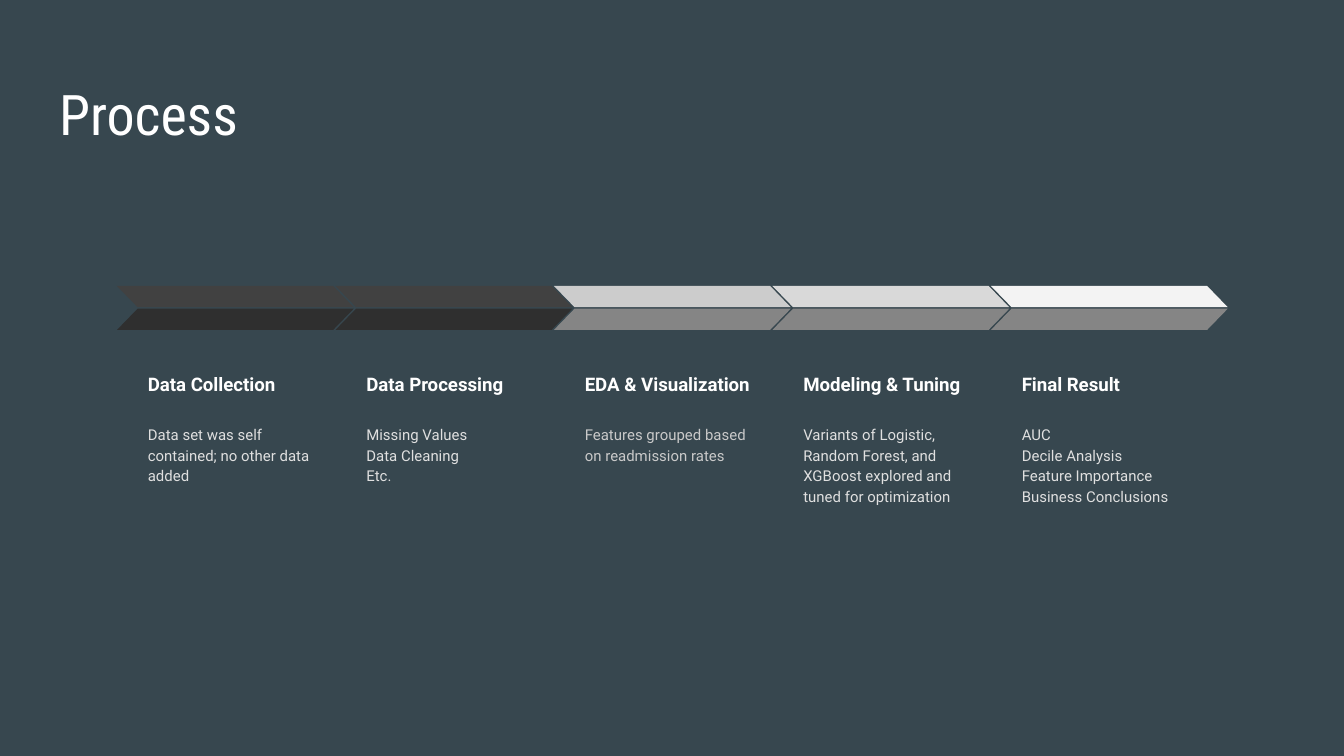
from pptx import Presentation
from pptx.dml.color import RGBColor
from pptx.enum.shapes import MSO_SHAPE
from pptx.enum.text import MSO_ANCHOR, MSO_AUTO_SIZE, PP_ALIGN
from pptx.util import Pt

SLATE = RGBColor(0x37, 0x47, 0x4F)
WHITE = RGBColor(0xFF, 0xFF, 0xFF)
PALE = RGBColor(0xE0, 0xE0, 0xE0)
DIM = RGBColor(0xCA, 0xCA, 0xCA)
COAL = RGBColor(0x41, 0x41, 0x41)
SOOT = RGBColor(0x2F, 0x2F, 0x2F)
GREY = RGBColor(0x85, 0x85, 0x85)
SILVER = RGBColor(0xCC, 0xCC, 0xCC)
CLOUD = RGBColor(0xD9, 0xD9, 0xD9)
SNOW = RGBColor(0xF3, 0xF3, 0xF3)

# heading, detail, detail colour, upper fill, lower fill
STEPS = [
    ("Data Collection", "Data set was self contained; no other data added",
     PALE, COAL, SOOT),
    ("Data Processing", "Missing Values\nData Cleaning\nEtc.",
     PALE, COAL, SOOT),
    ("EDA & Visualization", "Features grouped based on readmission rates",
     DIM, SILVER, GREY),
    ("Modeling & Tuning",
     "Variants of Logistic, Random Forest, and XGBoost explored and tuned for optimization",
     PALE, CLOUD, GREY),
    ("Final Result",
     "AUC\nDecile Analysis\nFeature Importance\nBusiness Conclusions",
     PALE, SNOW, GREY),
]

LEFT, PITCH = 62.7, 117.05
BAND_W, BAND_H = 126.8, 11.3
UPPER_Y, LOWER_Y = 153.2, 165.4
TEXT_DX, TEXT_W = 9.4, 104.4
HEAD_Y, HEAD_H = 183.7, 35.5
BODY_Y, BODY_H = 219.4, 58.3

TITLE = {"name": "Roboto Condensed", "size": Pt(30), "bold": False}
HEAD = {"name": "Roboto", "size": Pt(10), "bold": True}
BODY = {"name": "Roboto", "size": Pt(8), "bold": False}
FRAME = {"word_wrap": True, "auto_size": MSO_AUTO_SIZE.NONE,
         **{f"margin_{side}": Pt(7.2)
            for side in ("left", "top", "right", "bottom")}}


def place(shape, x, y, w, h):
    shape.left, shape.top, shape.width, shape.height = map(Pt, (x, y, w, h))


def write(shape, text, style, color, anchor=MSO_ANCHOR.TOP, **para):
    """Fill a shape with one formatted paragraph; newlines become line breaks."""
    frame = shape.text_frame
    for key, value in {**FRAME, "vertical_anchor": anchor}.items():
        setattr(frame, key, value)
    line = frame.paragraphs[0]
    line.text = text
    for key, value in {"alignment": PP_ALIGN.LEFT, **para}.items():
        setattr(line, key, value)
    for run in line.runs:
        for key, value in style.items():
            setattr(run.font, key, value)
        run.font.color.rgb = color


def add_band(group, x, y, fill, flip):
    band = group.shapes.add_shape(
        MSO_SHAPE.PARALLELOGRAM, Pt(x), Pt(y), Pt(BAND_W), Pt(BAND_H))
    band.adjustments[0] = 0.97
    band.shadow.inherit = False
    band.fill.solid()
    band.fill.fore_color.rgb = fill
    band.line.fill.background()
    if flip:
        band.element.spPr.xfrm.set("flipH", "1")


def add_step(slide, x, head, body, color, upper, lower):
    group = slide.shapes.add_group_shape()
    add_band(group, x, UPPER_Y, upper, True)
    add_band(group, x, LOWER_Y, lower, False)
    left = Pt(x + TEXT_DX)
    box = group.shapes.add_textbox(left, Pt(HEAD_Y), Pt(TEXT_W), Pt(HEAD_H))
    write(box, head, HEAD, WHITE, MSO_ANCHOR.BOTTOM, line_spacing=1.15)
    box = group.shapes.add_textbox(left, Pt(BODY_Y), Pt(TEXT_W), Pt(BODY_H))
    write(box, body, BODY, color, line_spacing=1.15, space_after=Pt(16))


def main():
    deck = Presentation()
    deck.slide_width, deck.slide_height = Pt(720), Pt(405)
    slide = deck.slides.add_slide(deck.slide_layouts[5])
    slide.background.fill.solid()
    slide.background.fill.fore_color.rgb = SLATE
    title = slide.shapes.title
    place(title, 24.5, 35.4, 671, 45.2)
    write(title, "Process", TITLE, WHITE)
    for i, step in enumerate(STEPS):
        add_step(slide, LEFT + i * PITCH, *step)
    deck.save("out.pptx")


if __name__ == "__main__":
    main()
